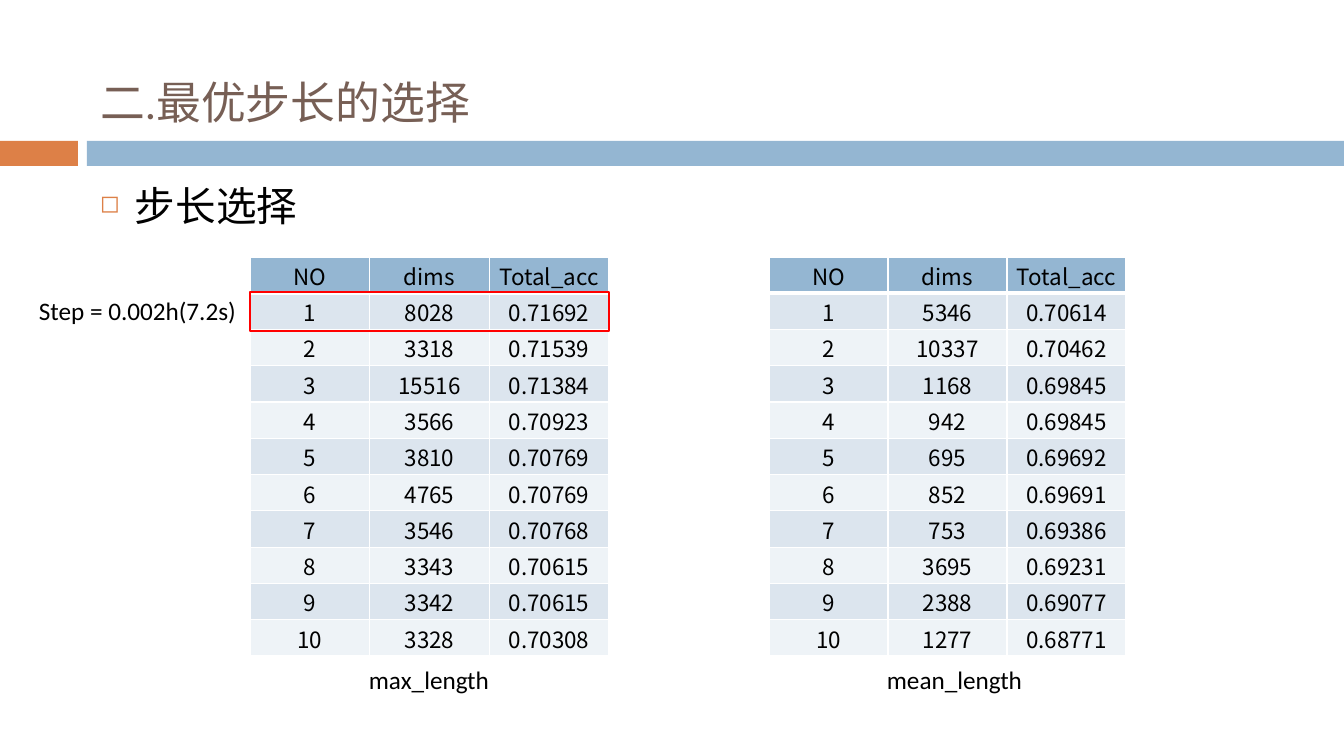
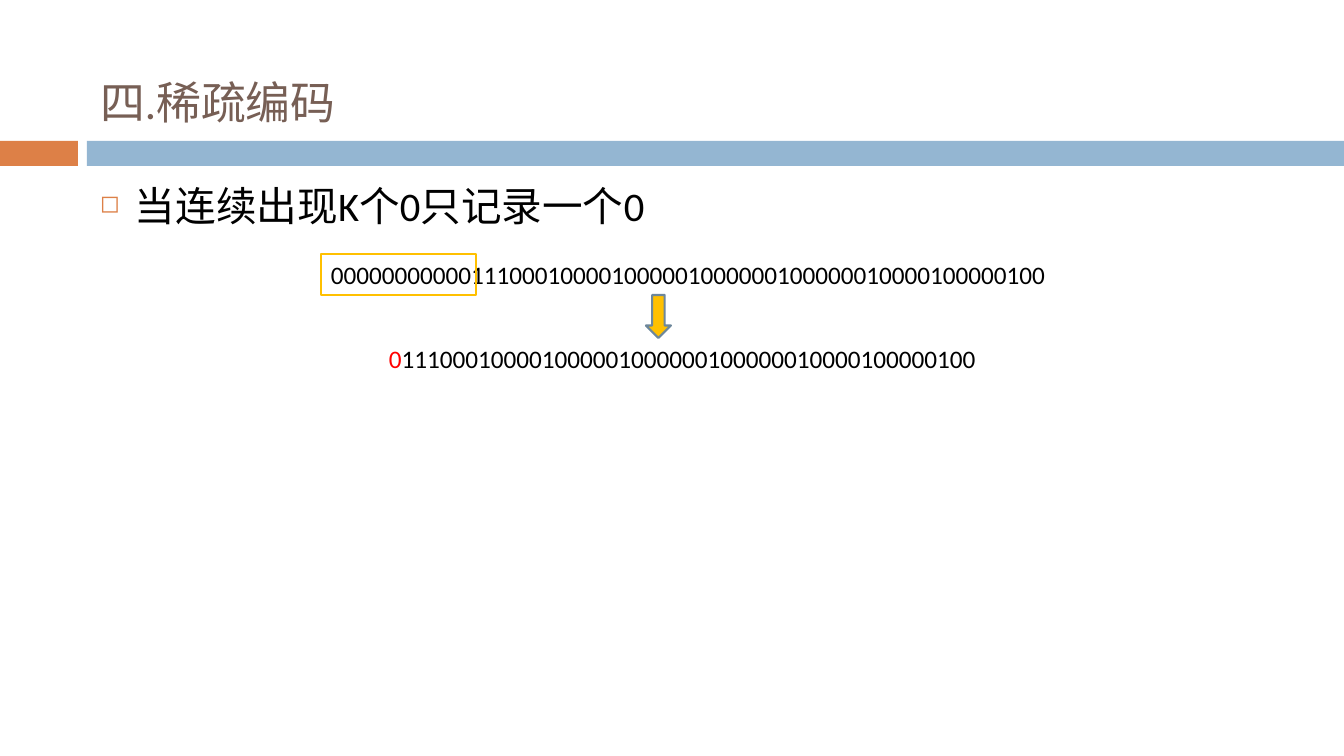
from lxml import etree
from pptx import Presentation
from pptx.dml.color import RGBColor
from pptx.enum.shapes import MSO_SHAPE
from pptx.enum.text import MSO_ANCHOR, PP_ALIGN
from pptx.oxml import parse_xml
from pptx.oxml.ns import nsdecls, qn
from pptx.util import Pt

RECT, DOWN = MSO_SHAPE.RECTANGLE, MSO_SHAPE.DOWN_ARROW
LOW, MID = MSO_ANCHOR.BOTTOM, MSO_ANCHOR.MIDDLE
LEFT, CENTER = PP_ALIGN.LEFT, PP_ALIGN.CENTER
SCALE = 914400 / 100.8
LATIN, ASIAN = "Calibri", "Noto Sans CJK SC"
COLORS = {
    "title": "775F55", "text": "000000", "white": "FFFFFF",
    "orange": "DD8047", "blue": "94B6D2", "odd": "DCE5EE", "even": "EEF3F7",
    "red": "FF0000", "gold": "FFC000", "edge": "6D879B",
}
HEAD = ("NO", "dims", "Total_acc")
MAX = [
    (8028, "0.71692"), (3318, "0.71539"), (15516, "0.71384"),
    (3566, "0.70923"), (3810, "0.70769"), (4765, "0.70769"),
    (3546, "0.70768"), (3343, "0.70615"), (3342, "0.70615"),
    (3328, "0.70308"),
]
MEAN = [
    (5346, "0.70614"), (10337, "0.70462"), (1168, "0.69845"),
    (942, "0.69845"), (695, "0.69692"), (852, "0.69691"),
    (753, "0.69386"), (3695, "0.69231"), (2388, "0.69077"),
    (1277, "0.68771"),
]
TAIL = "111000100001000001000000100000010000100000100"


def px(*sizes):
    """Turn pixels into a list of EMU lengths."""
    return [round(size * SCALE) for size in sizes]


def rgb(name):
    """Look up a named colour."""
    return RGBColor.from_string(COLORS[name])


def add_run(para, text, size, color="text", font=LATIN):
    """Add one formatted run to a paragraph."""
    run = para.add_run()
    run.text = text
    run.font.size, run.font.name = Pt(size), font
    run.font.color.rgb = rgb(color)
    east = etree.SubElement(run.font._element, qn("a:ea"))
    east.set("typeface", ASIAN)


def add_box(slide, area, fill=None, line=None, kind=RECT):
    """Add a plain shape with optional fill and outline."""
    shape = slide.shapes.add_shape(kind, *px(*area))
    shape.shadow.inherit = False
    if fill:
        shape.fill.solid()
        shape.fill.fore_color.rgb = rgb(fill)
    else:
        shape.fill.background()
    if line:
        shape.line.color.rgb = rgb(line)
        shape.line.width = Pt(1.5)
    else:
        shape.line.fill.background()


def add_label(slide, area, *runs):
    """Add one line of text from (text, colour) runs."""
    frame = slide.shapes.add_textbox(*px(*area)).text_frame
    frame.word_wrap = False
    for text, color in runs:
        add_run(frame.paragraphs[0], text, 18, color)


def add_point(slide, text):
    """Add the bulleted lead line."""
    frame = slide.shapes.add_textbox(*px(90, 176, 1198, 511)).text_frame
    frame.word_wrap = True
    para = frame.paragraphs[0]
    para.space_before = Pt(7)
    props = para._p.get_or_add_pPr()
    indent = px(35)[0]
    props.set("marL", str(indent))
    props.set("indent", str(-indent))
    color = etree.SubElement(props, qn("a:buClr"))
    etree.SubElement(color, qn("a:srgbClr")).set("val", COLORS["orange"])
    etree.SubElement(props, qn("a:buSzPct")).set("val", "60000")
    etree.SubElement(props, qn("a:buChar")).set("char", "◻")
    add_run(para, text, 29)


def set_edge(cell, widths):
    """Draw white cell borders from a dict of side to points."""
    props = cell._tc.get_or_add_tcPr()
    for spot, (side, width) in enumerate(widths.items()):
        props.insert(spot, parse_xml(
            f'<a:ln{side} {nsdecls("a")} w="{Pt(width)}"><a:solidFill>'
            f'<a:srgbClr val="{COLORS["white"]}"/></a:solidFill></a:ln{side}>'))


def fill_cell(cell, text, row):
    """Format and fill one table cell."""
    cell.fill.solid()
    cell.fill.fore_color.rgb = rgb(("even", "odd")[row % 2] if row else "blue")
    cell.vertical_anchor = MID
    cell.margin_left = cell.margin_right = cell.margin_top = px(1)[0]
    cell.margin_bottom = 0
    para = cell.text_frame.paragraphs[0]
    para.alignment = CENTER
    add_run(para, text, 16, font=ASIAN)
    set_edge(cell, {"L": 1, "R": 1, "T": 1 if row != 1 else 3,
                    "B": 1 if row else 3})


def add_grid(slide, area, data):
    """Add a numbered table of results."""
    rows = [HEAD] + [(no, *item) for no, item in enumerate(data, 1)]
    table = slide.shapes.add_table(len(rows), len(HEAD), *px(*area)).table
    for row, items in enumerate(rows):
        for col, item in enumerate(items):
            fill_cell(table.cell(row, col), str(item), row)


def add_page(deck, title, point):
    """Add a slide with its bands, title and lead line."""
    slide = deck.slides.add_slide(deck.slide_layouts[5])
    add_box(slide, (0, 141, 78, 25), "orange")
    add_box(slide, (87, 141, 1257, 25), "blue")
    head = slide.shapes.title
    head.left, head.top, head.width, head.height = px(90, 25, 1198, 109)
    frame = head.text_frame
    frame.vertical_anchor = LOW
    frame.paragraphs[0].alignment = LEFT
    add_run(frame.paragraphs[0], title, 32, "title")
    add_point(slide, point)
    return slide


def add_steps(deck):
    """Build the step length slide."""
    slide = add_page(deck, "二.最优步长的选择", "步长选择")
    add_grid(slide, (250, 257, 359, 399), MAX)
    add_grid(slide, (769, 257, 357, 399), MEAN)
    add_label(slide, (359, 659, 140, 40), ("max_length", "text"))
    add_label(slide, (877, 659, 165, 40), ("mean_length", "text"))
    add_box(slide, (250, 292, 359, 39), line="red")
    add_label(slide, (29, 290, 221, 40), ("Step = 0.002h(7.2s)", "text"))


def add_code(deck):
    """Build the sparse coding slide."""
    slide = add_page(deck, "四.稀疏编码", "当连续出现K个0只记录一个0")
    add_label(slide, (321, 254, 736, 40), ("0" * 11 + TAIL, "text"))
    add_box(slide, (321, 254, 155, 41), line="gold")
    add_label(slide, (379, 338, 621, 40), ("0", "red"), (TAIL, "text"))
    add_box(slide, (646, 295, 25, 43), "gold", "edge", DOWN)


def main():
    """Build and save the deck."""
    deck = Presentation()
    deck.slide_width, deck.slide_height = px(1344, 756)
    add_steps(deck)
    add_code(deck)
    deck.save("out.pptx")


main()
